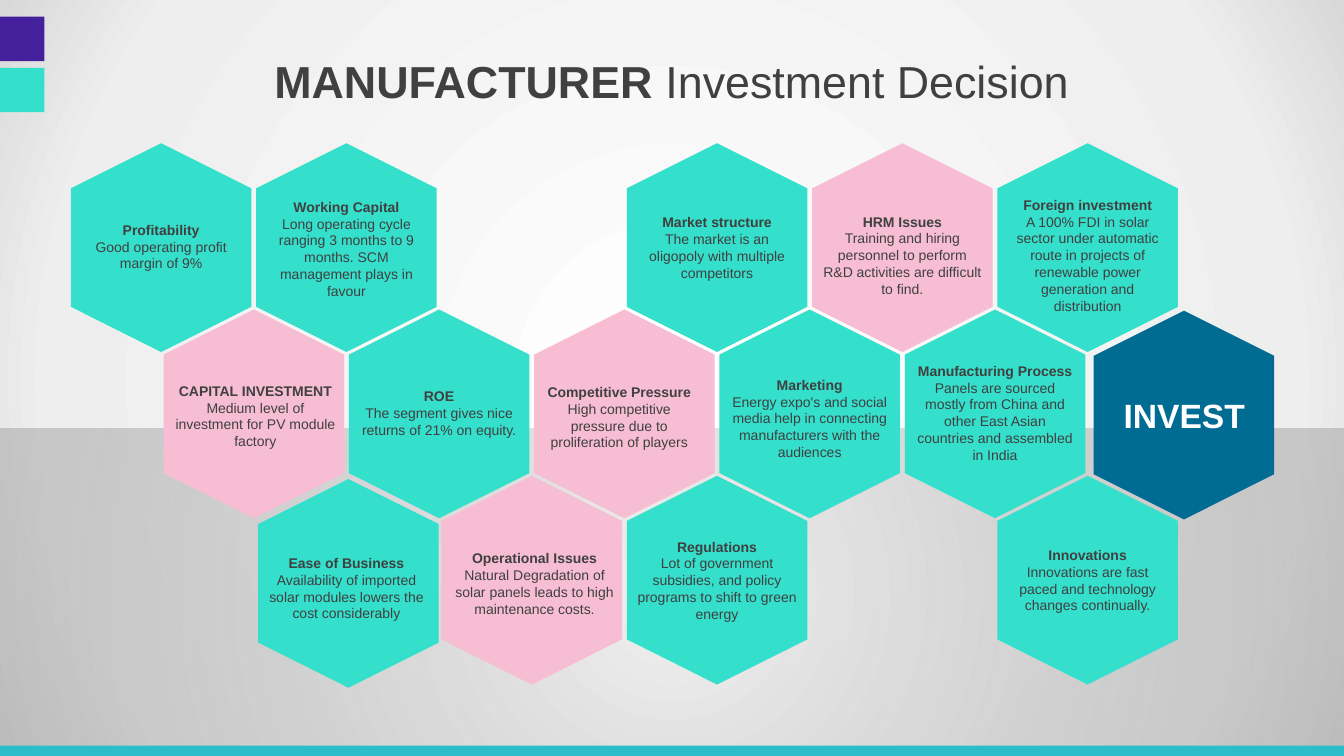
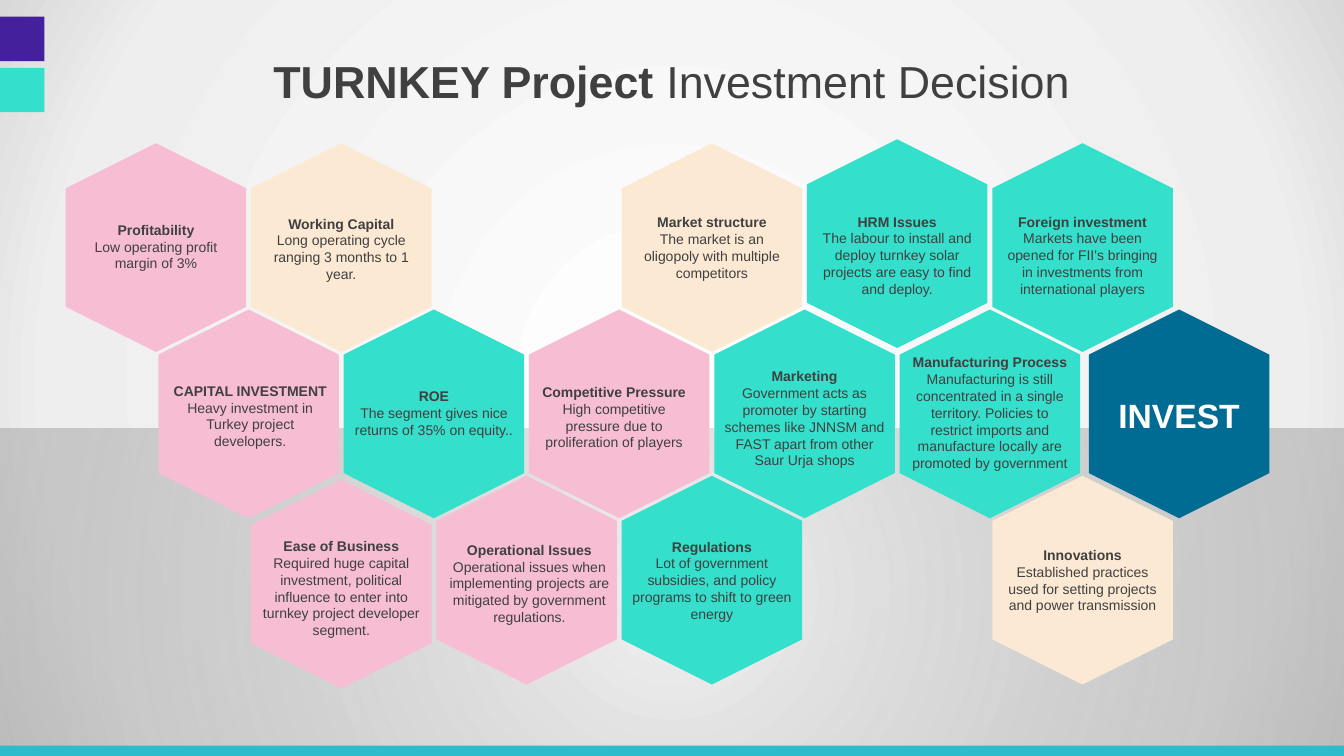
from pptx import Presentation
from pptx.dml.color import RGBColor
from pptx.enum.shapes import MSO_SHAPE
from pptx.enum.text import MSO_ANCHOR, MSO_AUTO_SIZE, PP_ALIGN
from pptx.oxml import parse_xml
from pptx.oxml.ns import nsdecls, qn
from pptx.util import Cm, Pt

HUES = {
    "teal": "34DFCB", "pink": "F6BDD3", "cream": "FCE9D3", "blue": "006C93",
    "purple": "45209D", "foot": "2DBCCA", "text": "404040", "white": "FFFFFF",
}
PAGE = [(0, "FFFFFF", 100), (81, "EEEEEE", 100), (100, "D8D8D8", 100)]
FLOOR = [(0, "F2F2F2", 100), (100, "A5A5A5", 53)]
WIDE, HIGH = 33.87, 19.05

# Honeycomb in cm: cell size, steps, and centre of the first cell
CELL_W, CELL_H = 4.55, 5.26
STEP_X, STEP_Y = 4.67, 4.19
TOP_X, TOP_Y = 4.06, 6.24

# name: (row, column in half steps, text shift x, text shift y)
GRID = {
    "Profitability": (0, 0, 0, -0.03),
    "Working Capital": (0, 2, 0, 0.03),
    "Market structure": (0, 6, 0, 0),
    "HRM Issues": (0, 8, 0, 0.19),
    "Foreign investment": (0, 10, 0, 0.19),
    "CAPITAL INVESTMENT": (1, 1, 0.04, 0.05),
    "ROE": (1, 3, 0, -0.03),
    "Competitive Pressure": (1, 5, -0.13, 0.08),
    "Marketing": (1, 7, 0, 0.11),
    "Manufacturing Process": (1, 9, 0, -0.03),
    "INVEST": (1, 11, 0.1, 0.02),
    "Ease of Business": (2, 2, 0, 0.2),
    "Operational Issues": (2, 4, 0.07, 0.08),
    "Regulations": (2, 6, 0, 0),
    "Innovations": (2, 10, 0, 0),
}

MAKER = {
    "title": ("MANUFACTURER ", "Investment Decision"),
    "left": 0,
    "nudge": {"Ease of Business": (0.05, 0.08), "INVEST": (0.09, 0.03)},
    "cells": [
        ("Profitability", "teal", "Good operating profit margin of 9%"),
        ("Working Capital", "teal", "Long operating cycle ranging 3 months to 9 months. "
         "SCM management plays in favour"),
        ("Market structure", "teal", "The market is an oligopoly with multiple competitors"),
        ("HRM Issues", "pink", "Training and hiring personnel to perform R&D activities "
         "are difficult to find."),
        ("Foreign investment", "teal", "A 100% FDI in solar sector under automatic route in "
         "projects of renewable power generation and distribution"),
        ("CAPITAL INVESTMENT", "pink", "Medium level of investment for PV module factory"),
        ("ROE", "teal", "The segment gives nice returns of 21% on equity."),
        ("Competitive Pressure", "pink", "High competitive pressure due to proliferation "
         "of players"),
        ("Marketing", "teal", "Energy expo's and social media help in connecting "
         "manufacturers with the audiences"),
        ("Manufacturing Process", "teal", "Panels are sourced mostly from China and other "
         "East Asian countries and assembled in India"),
        ("Ease of Business", "teal", "Availability of imported solar modules lowers the "
         "cost considerably"),
        ("Operational Issues", "pink", "Natural Degradation of solar panels leads to high "
         "maintenance costs."),
        ("Regulations", "teal", "Lot of government subsidies, and policy programs to shift "
         "to green energy"),
        ("Innovations", "teal", "Innovations are fast paced and technology changes "
         "continually."),
        ("INVEST", "blue", ""),
    ],
}
TURNKEY = {
    "title": ("TURNKEY Project ", "Investment Decision"),
    "left": -0.13,
    "nudge": {"HRM Issues": (0, -0.1), "Ease of Business": (0, 0.1), "INVEST": (0.1, 0)},
    "cells": [
        ("Profitability", "pink", "Low operating profit margin of 3%"),
        ("Working Capital", "cream", "Long operating cycle ranging 3 months to 1 year."),
        ("Market structure", "cream", "The market is an oligopoly with multiple competitors"),
        ("HRM Issues", "teal", "The labour to install and deploy turnkey solar projects "
         "are easy to find and deploy."),
        ("Foreign investment", "teal", "Markets have been opened for FII's bringing in "
         "investments from international players"),
        ("CAPITAL INVESTMENT", "pink", "Heavy investment in Turkey project developers."),
        ("ROE", "teal", "The segment gives nice returns of 35% on equity.."),
        ("Competitive Pressure", "pink", "High competitive pressure due to proliferation "
         "of players"),
        ("Marketing", "teal", "Government acts as promoter by starting schemes like JNNSM "
         "and FAST apart from other Saur Urja shops"),
        ("Manufacturing Process", "teal", "Manufacturing is still concentrated in a single "
         "territory. Policies to restrict imports and manufacture locally are promoted by "
         "government"),
        ("Ease of Business", "pink", "Required huge capital investment, political influence "
         "to enter into turnkey project developer segment."),
        ("Operational Issues", "pink", "Operational issues when implementing projects are "
         "mitigated by government regulations."),
        ("Regulations", "teal", "Lot of government subsidies, and policy programs to shift "
         "to green energy"),
        ("Innovations", "cream", "Established practices used for setting projects and power "
         "transmission"),
        ("INVEST", "blue", ""),
    ],
}


def put(item, **vals):
    """Set each named attribute on item."""
    for key, val in vals.items():
        setattr(item, key, val)


def write(para, text, size, bold, hue="text"):
    run = para.add_run()
    run.text = text
    put(run.font, name="Arial", size=Pt(size), bold=bold)
    run.font.color.rgb = RGBColor.from_string(HUES[hue])
    para.alignment = PP_ALIGN.CENTER


def glow(fill, root, stops):
    """Swap the first solid fill under root for a radial gradient."""
    fill.solid()
    marks = "".join(
        f'<a:gs pos="{pos * 1000}"><a:srgbClr val="{hue}">'
        f'<a:alpha val="{alpha * 1000}"/></a:srgbClr></a:gs>'
        for pos, hue, alpha in stops)
    grad = parse_xml(
        f'<a:gradFill {nsdecls("a")} rotWithShape="1"><a:gsLst>{marks}</a:gsLst>'
        '<a:path path="circle"><a:fillToRect l="50000" t="50000" r="50000" b="50000"/>'
        '</a:path></a:gradFill>')
    old = root.find(".//" + qn("a:solidFill"))
    old.getparent().replace(old, grad)


def block(slide, kind, box, hue):
    shape = slide.shapes.add_shape(kind, *map(Cm, box))
    shape.shadow.inherit = False
    shape.fill.solid()
    shape.fill.fore_color.rgb = RGBColor.from_string(HUES[hue])
    shape.line.fill.background()
    return shape


def frame(layout, slide):
    """Give the layout its backdrop, floor, corner squares and foot band."""
    glow(layout.background.fill, layout._element, PAGE)
    for old in list(layout.placeholders):
        if old.placeholder_format.idx:
            old._element.getparent().remove(old._element)
    parts = [
        ((0, 10.8, WIDE, HIGH - 10.8), "white"),
        ((0, 0.42, 1.12, 1.12), "purple"),
        ((0, 1.71, 1.12, 1.12), "teal"),
        ((0, 18.79, WIDE, 0.26), "foot"),
    ]
    tree = layout.shapes._spTree
    for spot, (box, hue) in enumerate(parts, 2):
        shape = block(slide, MSO_SHAPE.RECTANGLE, box, hue)
        if hue == "white":
            glow(shape.fill, shape._element, FLOOR)
        tree.insert(spot, shape._element)


def head(slide, box, words):
    title = slide.shapes.title
    put(title, **dict(zip(("left", "top", "width", "height"), map(Cm, box))))
    put(title.text_frame, word_wrap=True, auto_size=MSO_AUTO_SIZE.NONE,
        vertical_anchor=MSO_ANCHOR.MIDDLE)
    strong, plain = words
    para = title.text_frame.paragraphs[0]
    write(para, strong, 32, True)
    write(para, plain, 32, False)


def label(slide, mid, name, body):
    """Centre a heading and its note on the point mid."""
    x, y = mid
    high = 3.4
    box = slide.shapes.add_textbox(Cm(x - CELL_W / 2), Cm(y - high / 2), Cm(CELL_W), Cm(high))
    text = box.text_frame
    put(text, word_wrap=True, vertical_anchor=MSO_ANCHOR.MIDDLE)
    if body:
        write(text.paragraphs[0], name, 10, True)
        write(text.add_paragraph(), body, 10, False)
    else:
        write(text.paragraphs[0], name, 24, True, "white")


def comb(slide, left, top, cells, nudge):
    """Lay the hexagons out from the centre of the first one."""
    for name, hue, body in cells:
        row, half, text_x, text_y = GRID[name]
        x, y = left + half * STEP_X / 2, top + row * STEP_Y
        dx, dy = nudge.get(name, (0, 0))
        box = (x + dx - CELL_H / 2, y + dy - CELL_W / 2, CELL_H, CELL_W)
        block(slide, MSO_SHAPE.HEXAGON, box, hue).rotation = 90
        label(slide, (x + text_x, y + text_y), name, body)


def main():
    deck = Presentation()
    put(deck, slide_width=Cm(WIDE), slide_height=Cm(HIGH))
    layout = deck.slide_layouts[5]
    for num, data in enumerate((MAKER, TURNKEY)):
        slide = deck.slides.add_slide(layout)
        if num == 0:
            frame(layout, slide)
        head(slide, (3.94, 1.2, 25.98, 1.64), data["title"])
        comb(slide, TOP_X + data["left"], TOP_Y, data["cells"], data["nudge"])
    deck.save("out.pptx")


if __name__ == "__main__":
    main()
